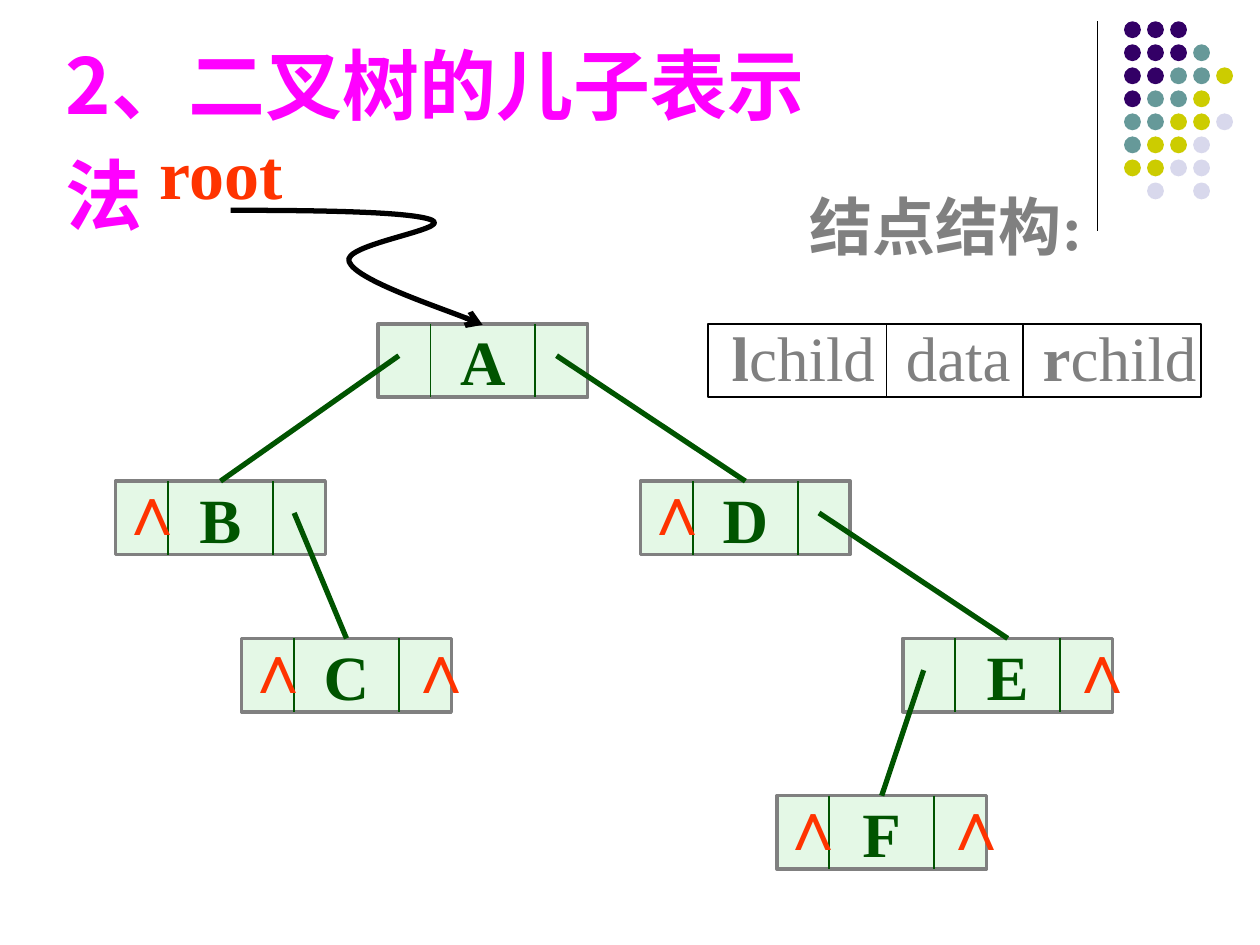
"""Build a slide on the child-pointer representation of a binary tree."""
import lxml.etree
import pptx
import pptx.dml.color
import pptx.enum.shapes
import pptx.enum.text
import pptx.oxml.ns
import pptx.util

Cm = pptx.util.Cm
Pt = pptx.util.Pt
qn = pptx.oxml.ns.qn
SERIF = "Times New Roman"
SANS = "Noto Sans CJK SC"
COLORS = {
    "black": "000000", "title": "FF00FF", "grey": "808080", "red": "FF3300",
    "green": "005400", "node": "CAF2CE",
    "P": "330066", "T": "669999", "Y": "CCCC00", "L": "D8D8EC",
}
DOT_ROWS = ["PPP", "PPPT", "PPTTY", "PTTY", "TTYYL", "TYYL", "YYLL", " L L"]
NODE_WIDTH, NODE_HEIGHT = 4.23, 1.48
TREE_NODES = {
    "A": (7.62, 0, "B", "D"), "B": (2.33, 1, None, "C"), "D": (12.91, 1, None, "E"),
    "C": (4.87, 2, None, None), "E": (18.2, 2, "F", None), "F": (15.66, 3, None, None),
}


def rgb(name):
    return pptx.dml.color.RGBColor.from_string(COLORS[name])


def style_paragraph(paragraph, size, color, bold=True, font=SERIF):
    paragraph.font.size = Pt(size)
    paragraph.font.name = font
    paragraph.font.bold = bold
    paragraph.font.color.rgb = rgb(color)


def add_line(slide, start, end, color, width):
    line = slide.shapes.add_connector(
        pptx.enum.shapes.MSO_CONNECTOR.STRAIGHT, *map(Cm, start + end))
    line.line.color.rgb = rgb(color)
    line.line.width = Pt(width)
    lxml.etree.SubElement(line._element.spPr, qn("a:effectLst"))


def add_box(slide, kind, box, fill=None, line=None, width=1):
    shape = slide.shapes.add_shape(
        getattr(pptx.enum.shapes.MSO_SHAPE, kind), *map(Cm, box))
    shape.shadow.inherit = False
    if fill:
        shape.fill.solid()
        shape.fill.fore_color.rgb = rgb(fill)
    else:
        shape.fill.background()
    if line:
        shape.line.color.rgb = rgb(line)
        shape.line.width = Pt(width)
    else:
        shape.line.fill.background()
    return shape


def add_label(slide, box, text, size, color, bold=True):
    label = slide.shapes.add_textbox(*map(Cm, box))
    label.text_frame.word_wrap = False
    label.text_frame.auto_size = pptx.enum.text.MSO_AUTO_SIZE.SHAPE_TO_FIT_TEXT
    paragraph = label.text_frame.paragraphs[0]
    paragraph.text = text
    style_paragraph(paragraph, size, color, bold)
    return paragraph


def add_corner_dots(slide, left, top):
    add_line(slide, (left - 0.54, top), (left - 0.54, top + 4.22), "black", 0.75)
    pitch = 3.25 / 7
    for row, marks in enumerate(DOT_ROWS):
        for column, mark in enumerate(marks):
            if mark != " ":
                add_box(slide, "OVAL", (left + column * pitch, top + row * pitch, 0.34, 0.34), mark)


def add_record(slide, left, top, name):
    record = add_box(slide, "RECTANGLE", (left, top, NODE_WIDTH, NODE_HEIGHT), "node", "grey", 2)
    color = record.fill._xPr.find(qn("a:solidFill"))[0]
    lxml.etree.SubElement(color, qn("a:alpha"), val="50000")
    record.text_frame.word_wrap = False
    record.text_frame.vertical_anchor = pptx.enum.text.MSO_ANCHOR.MIDDLE
    paragraph = record.text_frame.paragraphs[0]
    paragraph.text = name
    paragraph.alignment = pptx.enum.text.PP_ALIGN.CENTER
    style_paragraph(paragraph, 36, "green")
    for share in (0.25, 0.75):
        x = left + share * NODE_WIDTH
        add_line(slide, (x, top), (x, top + NODE_HEIGHT), "green", 1)


def add_tree(slide, top):
    places = {name: (left, top + level * 3.17)
              for name, (left, level, *_) in TREE_NODES.items()}
    for name, (left, y) in places.items():
        add_record(slide, left, y, name)
    for name, (left, y) in places.items():
        for child, nil_shift, link_shift in zip(TREE_NODES[name][2:], (-0.21, 3.07), (0.42, 3.6)):
            if child:
                child_left, child_top = places[child]
                add_line(slide, (left + link_shift, y + 0.64),
                         (child_left + NODE_WIDTH / 2, child_top), "green", 3)
            else:
                add_label(slide, (left + nil_shift, y - 0.43, 1.37, 1.96), "∧", 40, "red")


def add_root_pointer(slide, left, top):
    points = [(1.85, 0), (3.68, 0.03), (4.06, 0.2), (4.47, 0.38), (2.21, 0.69),
              (2.39, 1.04), (2.54, 1.4), (4.65, 2.11), (5.08, 2.31)]
    builder = slide.shapes.build_freeform(Cm(left), Cm(top))
    builder.add_line_segments([(Cm(left + x), Cm(top + y)) for x, y in points], close=False)
    arrow = builder.convert_to_shape()
    arrow.shadow.inherit = False
    arrow.fill.background()
    arrow.line.color.rgb = rgb("black")
    arrow.line.width = Pt(3)
    lxml.etree.SubElement(arrow.line._get_or_add_ln(), qn("a:tailEnd"), type="arrow")
    outline = next(arrow._element.iter(qn("a:path")))
    segments = outline.findall(qn("a:lnTo"))
    for start in range(0, len(segments), 3):
        curve = lxml.etree.SubElement(outline, qn("a:cubicBezTo"))
        for segment in segments[start:start + 3]:
            curve.append(segment[0])
            outline.remove(segment)
    add_label(slide, (left - 1.68, top - 1.75, 3.02, 1.96), "root", 40, "red")


def add_node_structure(slide, left, top):
    add_label(slide, (left + 1.8, top - 2.87, 6.05, 1.78), "结点结构:", 36, "grey")
    paragraph = add_label(slide, (left + 0.23, top - 0.23, 9.91, 1.78), "", 36, "grey", False)
    for text, bold in (("l", True), ("child\tdata\t", False), ("r", True), ("child", False)):
        run = paragraph.add_run()
        run.text = text
        run.font.bold = bold
    tabs = lxml.etree.Element(qn("a:tabLst"))
    for position in (3.51, 6.27):
        lxml.etree.SubElement(tabs, qn("a:tab"), pos=str(Cm(position)), algn="l")
    paragraph._p.get_or_add_pPr().insert(0, tabs)
    add_box(slide, "RECTANGLE", (left, top, 9.95, NODE_HEIGHT), None, "black")
    for offset in (3.6, 6.35):
        add_line(slide, (left + offset, top), (left + offset, top + NODE_HEIGHT), "black", 1)


def set_title(slide, left, top):
    title = slide.shapes.title
    title.left, title.top, title.width, title.height = map(Cm, (left, top, 16.89, 2.51))
    frame = title.text_frame
    frame.word_wrap = True
    frame.auto_size = pptx.enum.text.MSO_AUTO_SIZE.SHAPE_TO_FIT_TEXT
    frame.vertical_anchor = pptx.enum.text.MSO_ANCHOR.TOP
    paragraph = frame.paragraphs[0]
    paragraph.text = "2、二叉树的儿子表示法"
    paragraph.alignment = pptx.enum.text.PP_ALIGN.LEFT
    paragraph.line_spacing = 1.2
    style_paragraph(paragraph, 44, "title", font=SANS)


def build_slide():
    presentation = pptx.Presentation()
    presentation.slide_width, presentation.slide_height = Cm(25.4), Cm(19.05)
    slide = presentation.slides.add_slide(presentation.slide_layouts[5])
    set_title(slide, 1.07, 0.25)
    add_corner_dots(slide, 22.66, 0.43)
    add_tree(slide, 6.53)
    add_root_pointer(slide, 4.65, 4.24)
    add_node_structure(slide, 14.27, 6.53)
    presentation.save("out.pptx")


build_slide()
